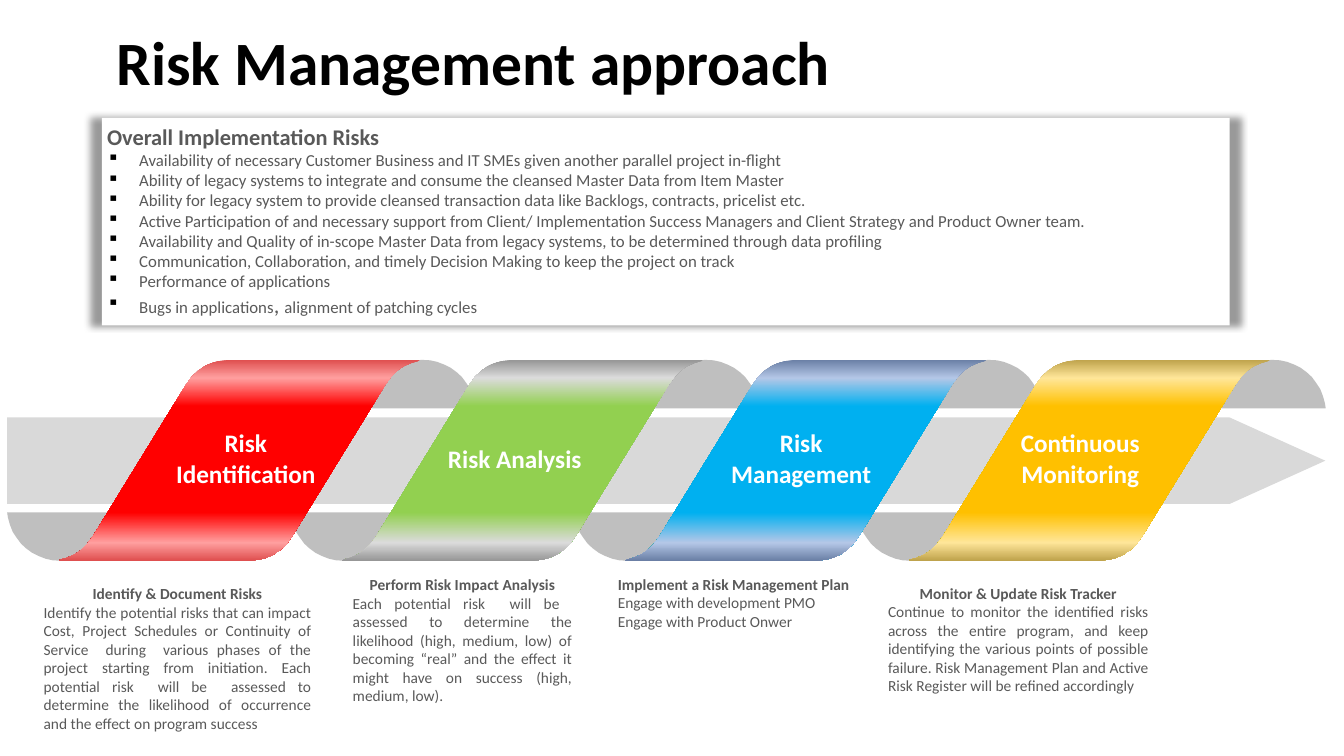
from lxml import etree
from pptx import Presentation
from pptx.dml.color import RGBColor
from pptx.enum.shapes import MSO_SHAPE as SHAPE
from pptx.enum.text import MSO_ANCHOR as ANCHOR, PP_ALIGN as ALIGN
from pptx.oxml import parse_xml
from pptx.oxml.ns import nsdecls, qn
from pptx.util import Cm, Pt

BLACK = RGBColor(0x00, 0x00, 0x00)
WHITE = RGBColor(0xFF, 0xFF, 0xFF)
GREY_TEXT = RGBColor(0x59, 0x59, 0x59)
ARROW_GREY = RGBColor(0xD9, 0xD9, 0xD9)
CURL_GREY = RGBColor(0xBF, 0xBF, 0xBF)

UNIT = 3600  # freeform unit: a hundredth of a centimetre
PITCH = 7.14  # distance between ribbons
CURL_W, CURL_H = 2.69, 1.22
RIBBON_W, RIBBON_H = 9.1, 5.06

RISKS = [
    "Availability of necessary Customer Business and IT SMEs given another parallel project in-flight",
    "Ability of legacy systems to integrate and consume the cleansed Master Data from Item Master",
    "Ability for legacy system to provide cleansed transaction data like Backlogs, contracts, pricelist etc.",
    "Active Participation of and necessary support from Client/ Implementation Success Managers "
    "and Client Strategy and Product Owner team.",
    "Availability and Quality of in-scope Master Data from legacy systems, "
    "to be determined through data profiling",
    "Communication, Collaboration, and timely Decision Making to keep the project on track",
    "Performance of applications",
]
LAST_RISK = [("Bugs in applications", 12), (", ", 16), ("alignment of patching cycles", 12)]

# Each step: label, label box, ribbon colours (edge, light, main), note box, note
STEPS = [
    ("Risk Identification", (4.06, 10.64, 4.27, 1.8),
     (RGBColor(0xC0, 0x00, 0x00), RGBColor(0xFF, 0x9F, 0x9F), RGBColor(0xFF, 0x00, 0x00)),
     (0.97, 14.58, 7.01, 4.01), "Identify & Document Risks", ALIGN.CENTER,
     ["Identify the potential risks that can impact Cost, Project Schedules or Continuity of "
      "Service  during  various phases of the project starting from initiation. Each potential "
      "risk  will be  assessed to determine the likelihood of occurrence and the effect on "
      "program success"]),
    ("Risk Analysis", (10.13, 11.05, 5.69, 1.02),
     (RGBColor(0x52, 0x52, 0x52), RGBColor(0xDB, 0xDB, 0xDB), RGBColor(0x92, 0xD0, 0x50)),
     (8.76, 14.35, 5.79, 3.56), "Perform Risk Impact Analysis", ALIGN.CENTER,
     ["Each potential risk  will be  assessed to determine the likelihood (high, medium, low) of "
      "becoming “real” and the effect it might have on success (high, medium, low)."]),
    ("Risk Management", (17.75, 10.64, 4.88, 1.8),
     (RGBColor(0x20, 0x38, 0x64), RGBColor(0xB4, 0xC7, 0xE7), RGBColor(0x00, 0xB0, 0xF0)),
     (15.44, 14.35, 6.55, 1.68), "Implement a Risk Management Plan", ALIGN.LEFT,
     ["Engage with development PMO", "Engage with Product Onwer"]),
    ("Continuous Monitoring", (24.38, 10.64, 5.69, 1.8),
     (RGBColor(0x80, 0x60, 0x00), RGBColor(0xFF, 0xE6, 0x99), RGBColor(0xFF, 0xC0, 0x00)),
     (22.25, 14.58, 6.83, 3.07), "Monitor & Update Risk Tracker", ALIGN.CENTER,
     ["Continue to monitor the identified risks across the entire program, and keep identifying "
      "the various points of possible failure. Risk Management Plan and Active Risk Register "
      "will be refined accordingly"]),
]


def set_frame(tf, anchor, inset=0.13):
    frame = {"word_wrap": True, "vertical_anchor": anchor}
    frame.update({f"margin_{side}": Cm(inset) for side in ("left", "right", "top", "bottom")})
    for name, value in frame.items():
        setattr(tf, name, value)


def add_run(p, text, size, color, bold=False):
    r = p.add_run()
    r.text = text
    for name, value in {"name": "Calibri", "size": Pt(size), "bold": bold}.items():
        setattr(r.font, name, value)
    r.font.color.rgb = color


def add_text(s, box, anchor, inset=0.13):
    tf = s.shapes.add_textbox(*map(Cm, box)).text_frame
    set_frame(tf, anchor, inset)
    return tf


def paint(sp, color):
    sp.shadow.inherit = False
    sp.fill.solid()
    sp.fill.fore_color.rgb = color
    sp.line.fill.background()


def bezier(p0, p1, p2, p3, n=10):
    """Points along a cubic curve, both ends included."""
    return [tuple((1 - t) ** 3 * a + 3 * (1 - t) ** 2 * t * b + 3 * (1 - t) * t ** 2 * c + t ** 3 * d
                  for a, b, c, d in zip(p0, p1, p2, p3))
            for t in (i / n for i in range(n + 1))]


def add_outline(s, points, left, top):
    pts = [(round(100 * (left + x)), round(100 * (top + y))) for x, y in points]
    fb = s.shapes.build_freeform(*pts[0], scale=UNIT)
    fb.add_line_segments(pts[1:], close=True)
    return fb.convert_to_shape()


def add_title(s, box):
    p = add_text(s, box, ANCHOR.MIDDLE, 0.25).paragraphs[0]
    p.line_spacing = 0.9
    add_run(p, "Risk Management approach", 44, BLACK, True)


def add_risk_box(s, box):
    sp = s.shapes.add_shape(SHAPE.RECTANGLE, *map(Cm, box))
    paint(sp, WHITE)
    # Soft shadow showing at the sides
    effects = sp._element.spPr.find(qn("a:effectLst"))
    effects.append(parse_xml(
        f'<a:outerShdw {nsdecls("a")} blurRad="63500" sx="102000" sy="100000" algn="ctr" '
        'rotWithShape="0"><a:srgbClr val="000000"><a:alpha val="40000"/></a:srgbClr></a:outerShdw>'))
    tf = sp.text_frame
    set_frame(tf, ANCHOR.TOP)
    p = tf.paragraphs[0]
    p.alignment = ALIGN.LEFT
    add_run(p, "Overall Implementation Risks", 16, GREY_TEXT, True)
    for runs in [[(risk, 12)] for risk in RISKS] + [LAST_RISK]:
        p = tf.add_paragraph()
        p.alignment = ALIGN.JUSTIFY
        pPr = p._p.get_or_add_pPr()
        pPr.set("marL", str(Cm(0.81)))
        pPr.set("indent", str(-Cm(0.81)))
        color = etree.SubElement(pPr, qn("a:buClr"))
        etree.SubElement(color, qn("a:srgbClr"), val=str(BLACK))
        etree.SubElement(pPr, qn("a:buChar"), char="▪")
        for text, size in runs:
            add_run(p, text, size, GREY_TEXT)


def add_curl(s, left, top, flip):
    half = [(0, CURL_H)] + bezier((0.02, 1.09), (0.14, 0.46), (0.69, 0), (CURL_W / 2, 0))
    points = half + [(CURL_W - x, y) for x, y in reversed(half)]
    if flip:
        points = [(x, CURL_H - y) for x, y in points]
    paint(add_outline(s, points, left, top), CURL_GREY)


def add_ribbon(s, left, top, edge, light, main):
    half = ([(0, RIBBON_H)]
            + bezier((0.05, 5.03), (0.3, 4.98), (0.53, 4.85), (0.71, 4.65))
            + [(0.86, 4.45), (3.2, 0.64)]
            + bezier((3.35, 0.43), (3.53, 0.23), (3.78, 0.08), (4.04, 0.03))
            + [(4.29, 0)])
    sp = add_outline(s, half + [(RIBBON_W - x, RIBBON_H - y) for x, y in half], left, top)
    paint(sp, main)
    rim = RGBColor(*((a + b) // 2 for a, b in zip(edge, light)))
    stops = [(0, rim), (9, light), (23, main), (76, main), (91, light), (100, rim)]
    stop_xml = "".join(f'<a:gs pos="{pos * 1000}"><a:srgbClr val="{c}"/></a:gs>' for pos, c in stops)
    solid = sp._element.spPr.find(qn("a:solidFill"))
    solid.getparent().replace(solid, parse_xml(
        f'<a:gradFill {nsdecls("a")} rotWithShape="1"><a:gsLst>{stop_xml}</a:gsLst>'
        '<a:lin ang="5400000" scaled="0"/></a:gradFill>'))


def add_process(s, left, top):
    # Arrow behind the ribbons
    arrow = s.shapes.add_shape(SHAPE.PENTAGON, Cm(left), Cm(top + 1.45), Cm(33.22), Cm(2.18))
    arrow.adjustments[0] = 1.106
    paint(arrow, ARROW_GREY)
    # Curls below and above, then ribbons over them
    lefts = [left + PITCH * i for i in range(len(STEPS))]
    for x in lefts:
        add_curl(s, x, top + RIBBON_H - CURL_H, True)
        add_curl(s, x + 9.12, top, False)
    for x, step in zip(lefts, STEPS):
        add_ribbon(s, x + 1.3, top, *step[2])


def add_step_text(s, label, label_box, _, note_box, heading, heading_align, lines):
    p = add_text(s, label_box, ANCHOR.MIDDLE).paragraphs[0]
    p.alignment = ALIGN.CENTER
    add_run(p, label, 18, WHITE, True)
    tf = add_text(s, note_box, ANCHOR.MIDDLE)
    p = tf.paragraphs[0]
    p.alignment = heading_align
    add_run(p, heading, 11, GREY_TEXT, True)
    for line in lines:
        p = tf.add_paragraph()
        p.alignment = ALIGN.JUSTIFY
        add_run(p, line, 11, GREY_TEXT)


def main():
    prs = Presentation()
    prs.slide_width, prs.slide_height = Cm(33.87), Cm(19.05)
    s = prs.slides.add_slide(prs.slide_layouts[6])
    add_title(s, (2.69, 0.48, 28.42, 2.34))
    add_process(s, 0.18, 9.07)
    for step in STEPS:
        add_step_text(s, *step)
    add_risk_box(s, (2.57, 2.97, 28.42, 5.23))
    prs.save("out.pptx")


if __name__ == "__main__":
    main()
